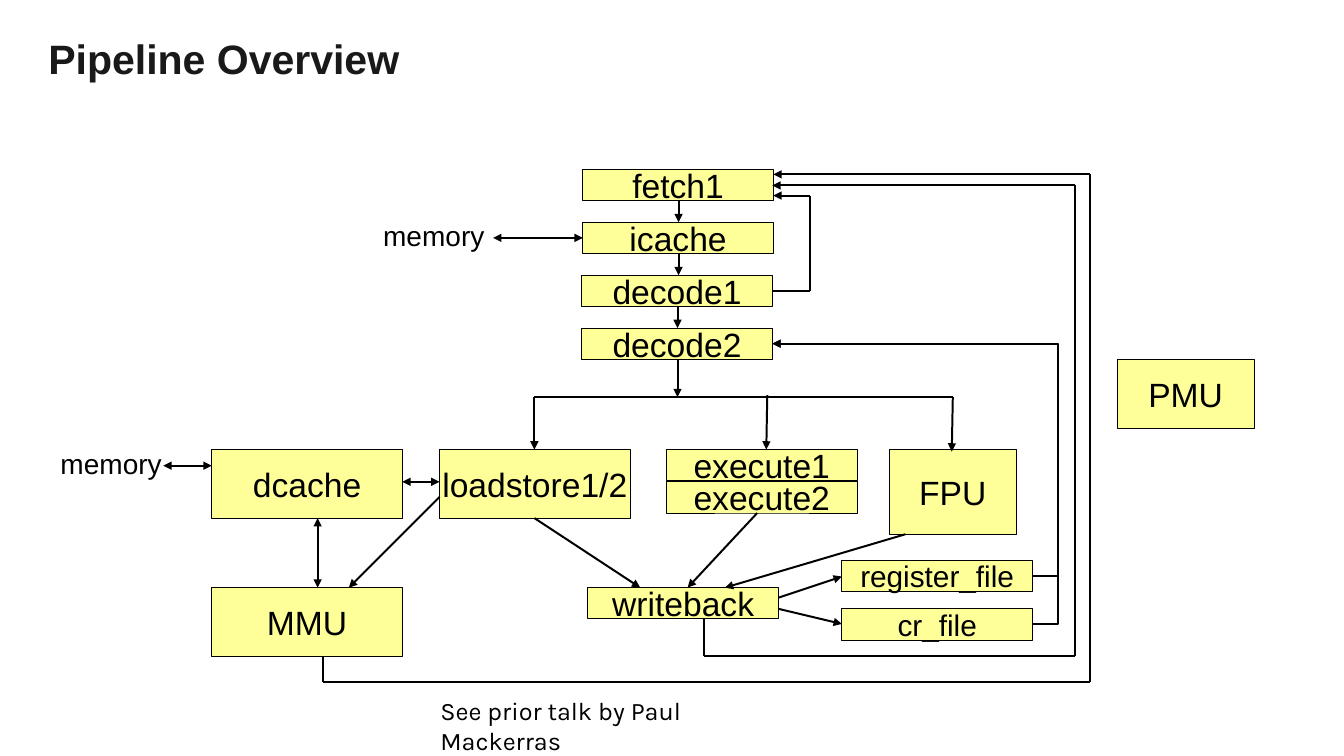
from itertools import pairwise

from lxml import etree
from pptx import Presentation
from pptx.dml.color import RGBColor
from pptx.enum.shapes import MSO_CONNECTOR, MSO_SHAPE
from pptx.enum.text import MSO_ANCHOR, PP_ALIGN
from pptx.oxml.ns import qn
from pptx.util import Inches, Pt

RECT = MSO_SHAPE.RECTANGLE
LINE, ELBOW = MSO_CONNECTOR.STRAIGHT, MSO_CONNECTOR.ELBOW
TOP, MIDDLE = MSO_ANCHOR.TOP, MSO_ANCHOR.MIDDLE
LEFT, CENTER = PP_ALIGN.LEFT, PP_ALIGN.CENTER

COLORS = {"ink": "000000", "title": "191919", "box": "FFFF99"}
WIDE, FLAT, TALL = 1.89, 0.31, 0.68


def paint(name):
    return RGBColor.from_string(COLORS[name])


def apply(item, values):
    for key, value in values.items():
        setattr(item, key, value)


class Board:
    """Holds the slide and the style of its boxes, text and wires."""

    font = "Arial"
    edge, wire = Pt(0.57), Pt(1.42)

    def __init__(self, slide):
        self.slide = slide
        self.shapes = slide.shapes

    def letter(self, shape, text, size, color="ink", font=None, bold=False,
               align=LEFT, anchor=TOP, wrap=True, pad=(0.13, 0.07), space=None):
        """Put formatted text into a shape."""
        frame = shape.text_frame
        side, end = map(Inches, pad)
        apply(frame, {"margin_left": side, "margin_right": side, "margin_top": end,
                      "margin_bottom": end, "word_wrap": wrap, "vertical_anchor": anchor})
        para = frame.paragraphs[0]
        apply(para, {"alignment": align, "line_spacing": space})
        run = para.add_run()
        run.text = text
        apply(run.font, {"name": font or self.font, "size": Pt(size), "bold": bold})
        run.font.color.rgb = paint(color)

    def title(self, text, place):
        shape = self.shapes.title
        apply(shape, dict(zip(("left", "top", "width", "height"), map(Inches, place))))
        self.letter(shape, text, 29.3, "title", bold=True, anchor=MIDDLE,
                    pad=(0, 0), space=0.9)

    def box(self, text, left, top, width=WIDE, height=FLAT, size=24):
        shape = self.shapes.add_shape(RECT, *map(Inches, (left, top, width, height)))
        shape.shadow.inherit = False
        shape.fill.solid()
        shape.fill.fore_color.rgb = paint("box")
        shape.line.color.rgb = paint("ink")
        shape.line.width = self.edge
        self.letter(shape, text, size, align=CENTER, anchor=MIDDLE, wrap=False)

    def label(self, text, place, size=20, **style):
        shape = self.shapes.add_textbox(*map(Inches, place))
        self.letter(shape, text, size, **style)

    def link(self, start, end, tips=("tailEnd",), kind=LINE):
        """Draw one connector; tips lists the ends that bear an arrowhead."""
        link = self.shapes.add_connector(kind, *map(Inches, (*start, *end)))
        link.line.color.rgb = paint("ink")
        link.line.width = self.wire
        props = link.element.spPr
        for tip in tips:
            etree.SubElement(props.find(qn("a:ln")), qn("a:" + tip), type="triangle")
        etree.SubElement(props, qn("a:effectLst"))
        return link

    def both(self, start, end):
        self.link(start, end, ("headEnd", "tailEnd"))

    def route(self, *points):
        """Draw a chain of lines with an arrowhead at its last point."""
        legs = list(pairwise(points))
        for leg in legs[:-1]:
            self.link(*leg, tips=())
        self.link(*legs[-1])

    def elbow(self, start, end, bend):
        """Draw a bent arrow; bend is the turn's share of the width."""
        link = self.link(start, end, kind=ELBOW)
        shape = link.element.spPr.find(qn("a:prstGeom"))
        guides = shape.find(qn("a:avLst"))
        if guides is None:
            guides = etree.SubElement(shape, qn("a:avLst"))
        etree.SubElement(guides, qn("a:gd"), name="adj1", fmla=f"val {round(bend * 100000)}")


def main():
    deck = Presentation()
    deck.slide_width, deck.slide_height = Inches(13.33), Inches(7.5)
    board = Board(deck.slides.add_slide(deck.slide_layouts[5]))
    board.title("Pipeline Overview", (0.48, 0.32, 12.67, 0.58))

    # Front end: stages stacked at an equal pitch
    first, pitch = 1.68, 0.525
    for row, (stage, left) in enumerate((("fetch1", 5.78), ("icache", 5.78),
                                         ("decode1", 5.77), ("decode2", 5.77))):
        top = first + row * pitch
        board.box(stage, left, top)
        if row < 3:
            board.link((left + 0.95, top + FLAT), (left + 0.95, top + pitch))

    # Execution units and memory
    units = 4.46
    for name, left, top, width, height in (
            ("dcache", 2.1, units, WIDE, TALL),
            ("MMU", 2.1, 5.83, WIDE, TALL),
            ("loadstore1/2", 4.36, units, WIDE, TALL),
            ("execute1", 6.61, units, WIDE, FLAT),
            ("execute2", 6.61, 4.78, WIDE, FLAT),
            ("FPU", 8.82, units, 1.26, 0.84),
            ("writeback", 5.83, 5.83, WIDE, FLAT),
            ("PMU", 11.08, 3.57, 1.36, TALL)):
        board.box(name, left, top, width, height)
    for name, top in (("register_file", 5.56), ("cr_file", 6.04)):
        board.box(name, 8.35, top, size=21.3)
        board.elbow((10.24, top + FLAT / 2), (7.66, 3.41), -0.1)

    # Issue bus from decode2 to the units
    bus = 3.94
    board.link((6.72, 3.57), (6.72, bus))
    board.link((5.3, bus), (9.45, bus), tips=())
    for start, end in (((5.3, bus), (5.3, units)),
                       ((7.61, 3.92), (7.6, units)),
                       ((9.45, bus), (9.44, 4.48)),
                       ((4.36, 4.93), (3.46, 5.83)),
                       ((5.3, 5.14), (6.35, 5.83)),
                       ((7.51, 5.09), (6.82, 5.83)),
                       ((8.98, 5.3), (7.19, 5.83)),
                       ((7.72, 5.93), (8.35, 5.72)),
                       ((7.72, 6.04), (8.35, 6.19))):
        board.link(start, end)

    for start, end in (((5.78, 2.36), (4.89, 2.36)),
                       ((2.1, 4.62), (1.62, 4.62)),
                       ((4.36, 4.78), (3.99, 4.78)),
                       ((3.15, 5.14), (3.15, 5.83))):
        board.both(start, end)

    # Feedback paths to fetch1
    board.route((7.66, 2.89), (8.03, 2.89), (8.03, 1.94), (7.67, 1.94))
    board.route((6.98, 6.14), (6.98, 6.51), (10.66, 6.51), (10.66, 1.84), (7.66, 1.84))
    board.route((3.2, 6.51), (3.2, 6.77), (10.81, 6.77), (10.81, 1.73), (7.67, 1.73))

    for place in ((3.67, 2.1, 1.27, 0.44), (0.47, 4.36, 1.32, 0.44)):
        board.label("memory", place)
    board.label("See prior talk by Paul Mackerras", (4.27, 6.85, 3.64, 0.4),
                size=18, font="Karla", pad=(0.1, 0.05))
    deck.save("out.pptx")


if __name__ == "__main__":
    main()
